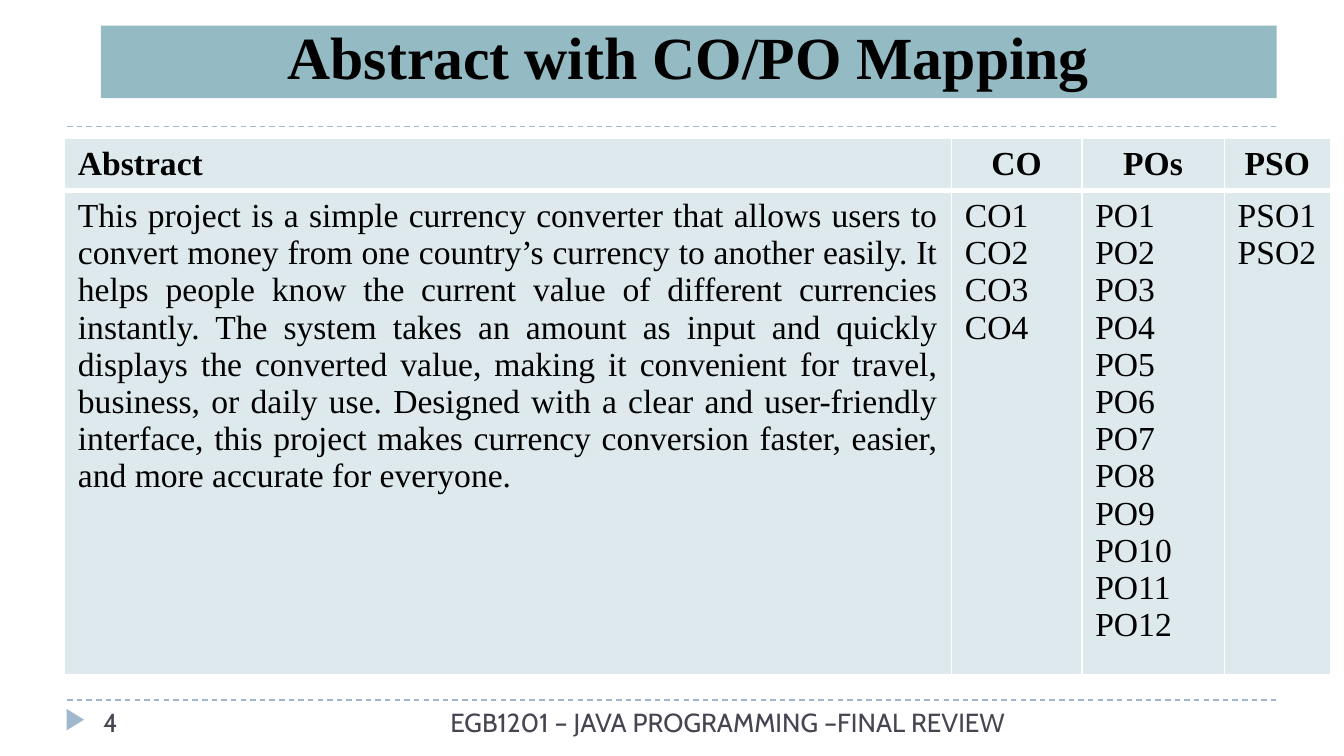
from lxml.etree import SubElement
from pptx import Presentation
from pptx.dml.color import RGBColor
from pptx.enum.dml import MSO_LINE
from pptx.enum.shapes import MSO_CONNECTOR, MSO_SHAPE
from pptx.enum.text import MSO_ANCHOR, MSO_AUTO_SIZE, PP_ALIGN
from pptx.oxml.ns import qn
from pptx.util import Inches, Pt

SERIF, SANS = "Times New Roman", "Cabin"
BLACK, WHITE, SLATE = "000000", "FFFFFF", "464653"
BLUE, TEAL, PALE = "9FB8CD", "94BAC3", "DDE9EC"
ABSTRACT = (
    "This project is a simple currency converter that allows users to convert money "
    "from one country’s currency to another easily. It helps people know the current "
    "value of different currencies instantly. The system takes an amount as input and "
    "quickly displays the converted value, making it convenient for travel, business, "
    "or daily use. Designed with a clear and user-friendly interface, this project makes "
    "currency conversion faster, easier, and more accurate for everyone."
)


def rgb(value):
    """Turn a hex string into a colour."""
    return RGBColor.from_string(value)


def paint(obj, color):
    """Give a shape or cell a solid fill."""
    obj.fill.solid()
    obj.fill.fore_color.rgb = rgb(color)


def write(tf, lines, size, font, color, align=PP_ALIGN.LEFT, bold=False):
    """Write one paragraph per line into a text frame."""
    tf.word_wrap = True
    for i, line in enumerate(lines):
        p = tf.paragraphs[0] if i == 0 else tf.add_paragraph()
        p.alignment = align
        r = p.add_run()
        r.text = line
        r.font.size, r.font.name, r.font.bold = Pt(size), font, bold
        r.font.color.rgb = rgb(color)


def add_rule(s, x, y, w):
    """Draw a dashed horizontal rule."""
    line = s.shapes.add_connector(
        MSO_CONNECTOR.STRAIGHT, Inches(x), Inches(y), Inches(x + w), Inches(y))
    line.line.color.rgb = rgb(BLUE)
    line.line.width = Pt(0.75)
    line.line.dash_style = MSO_LINE.DASH
    SubElement(line._element.spPr, qn("a:effectLst"))


def add_title(s, x, y, w, h):
    """Place the title band."""
    sp = s.shapes.title
    sp.left, sp.top, sp.width, sp.height = map(Inches, (x, y, w, h))
    paint(sp, TEAL)
    tf = sp.text_frame
    tf.auto_size = MSO_AUTO_SIZE.NONE
    tf.vertical_anchor = MSO_ANCHOR.BOTTOM
    write(tf, ["Abstract with CO/PO Mapping"], 32, SERIF, BLACK, PP_ALIGN.CENTER, True)


def add_footer(s, x, y, w):
    """Place the footer rule, marker, page number and course name."""
    add_rule(s, x, y, w)
    sp = s.shapes.add_shape(
        MSO_SHAPE.ISOSCELES_TRIANGLE,
        Inches(x - 0.02), Inches(y + 0.08), Inches(0.16), Inches(0.13))
    sp.rotation = 90
    sp.shadow.inherit = False
    paint(sp, BLUE)
    sp.line.fill.background()
    for text, dx, width, height, align in (
            ("EGB1201 – JAVA PROGRAMMING –FINAL REVIEW", 2.58, 4.5, 0.41, PP_ALIGN.RIGHT),
            ("4", 0.17, 2.17, 0.3, PP_ALIGN.LEFT)):
        box = s.shapes.add_textbox(Inches(x + dx), Inches(y), Inches(width), Inches(height))
        write(box.text_frame, [text], 14, SANS, SLATE, align)


def set_borders(cell, top, bottom):
    """Give a cell white borders."""
    tc_pr = cell._tc.get_or_add_tcPr()
    for tag, width in (("lnL", 1), ("lnR", 1), ("lnT", top), ("lnB", bottom)):
        ln = SubElement(tc_pr, qn(f"a:{tag}"), w=str(Pt(width)))
        SubElement(SubElement(ln, qn("a:solidFill")), qn("a:srgbClr"), val=WHITE)


def add_mapping_table(s, x, y):
    """Place the abstract with its outcome columns."""
    columns = (
        ("Abstract", 6.6, [ABSTRACT], PP_ALIGN.JUSTIFY),
        ("CO", 0.97, [f"CO{n}" for n in range(1, 5)], PP_ALIGN.LEFT),
        ("POs", 1.06, [f"PO{n}" for n in range(1, 13)], PP_ALIGN.LEFT),
        ("PSO", 0.79, [f"PSO{n}" for n in range(1, 3)], PP_ALIGN.LEFT),
    )
    heights = (0.39, 3.6)
    width = sum(column[1] for column in columns)
    table = s.shapes.add_table(
        2, len(columns), Inches(x), Inches(y), Inches(width), Inches(sum(heights))).table
    table.first_row = table.horz_banding = False
    for row, height in zip(table.rows, heights):
        row.height = Inches(height)
    for c, (heading, col_width, lines, align) in enumerate(columns):
        table.columns[c].width = Inches(col_width)
        head, body = table.cell(0, c), table.cell(1, c)
        set_borders(head, 1, 3)
        set_borders(body, 3, 1)
        paint(head, PALE)
        paint(body, PALE)
        head_align = PP_ALIGN.JUSTIFY if c == 0 else PP_ALIGN.CENTER
        write(head.text_frame, [heading], 18, SERIF, BLACK, head_align, True)
        write(body.text_frame, lines, 18, SERIF, BLACK, align)


def main():
    """Build and save the slide."""
    prs = Presentation()
    prs.slide_width = Inches(10)
    prs.slide_height = prs.slide_width * 9 // 16
    s = prs.slides.add_slide(prs.slide_layouts[5])
    add_title(s, 0.75, 0.19, 8.75, 0.54)
    add_rule(s, 0.5, 0.94, 9)
    add_mapping_table(s, 0.48, 1.03)
    add_footer(s, 0.5, 5.21, 9)
    prs.save("out.pptx")


if __name__ == "__main__":
    main()
